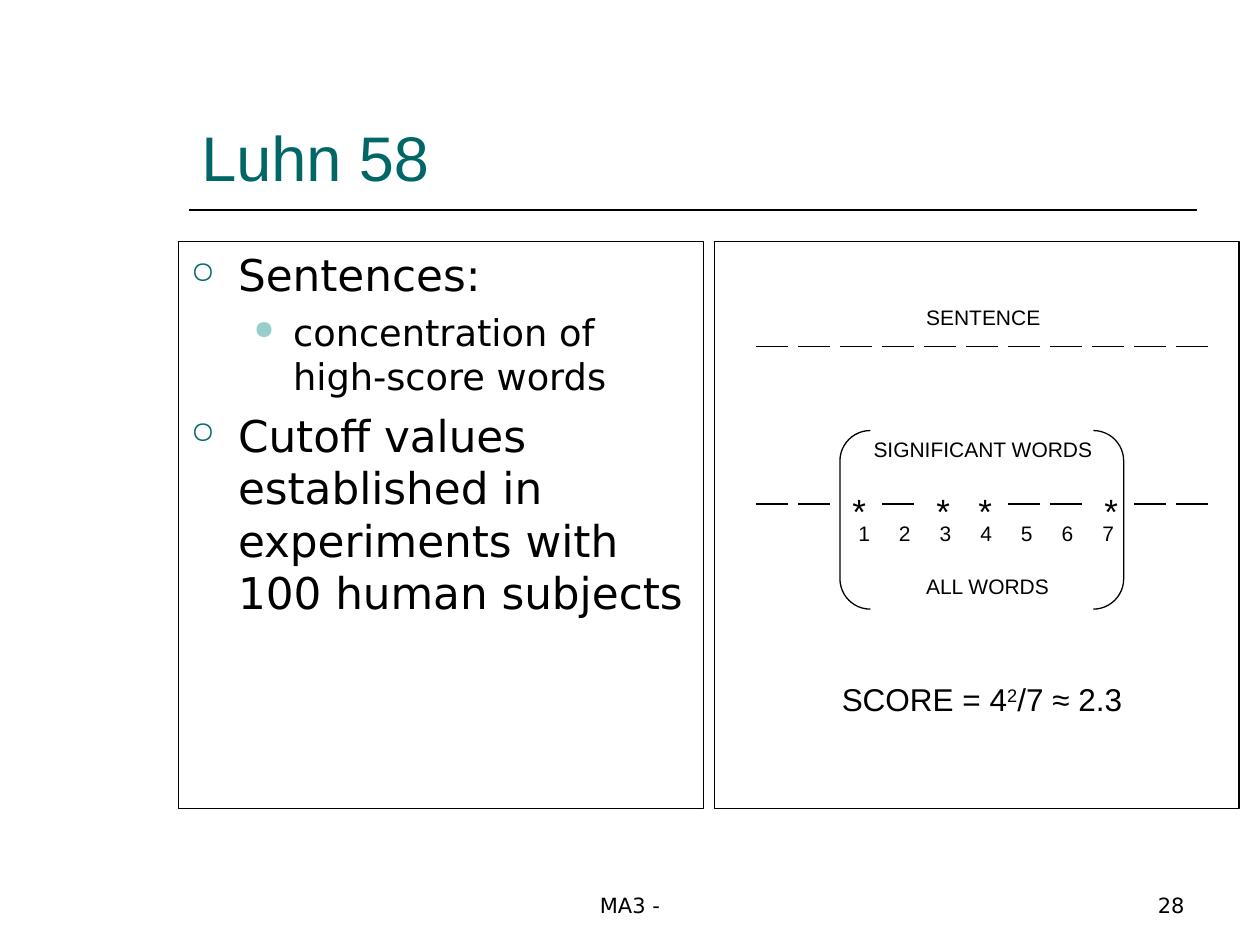
from lxml import etree
from pptx import Presentation
from pptx import util as u
from pptx.dml.color import RGBColor
from pptx.enum import shapes, text
from pptx.oxml.ns import qn

COLORS = {"ink": "000000", "teal": "006666", "pale": "99CCCC"}
WIDTH, HEIGHT = 25.4, 19.05
SANS, BODY = "Arial", "DejaVu Sans"

TITLE = "Luhn 58"
POINTS = [
    (0, "Sentences:"),
    (1, "concentration of high-score words"),
    (0, "Cutoff values established in experiments with 100 human subjects"),
]
LEVELS = [
    {"size": 25, "before": 6.2, "left": 0.95, "hang": 0.95, "mark": "○", "color": "teal"},
    {"size": 21, "before": 5.2, "left": 2.06, "hang": 0.79, "mark": "●", "color": "pale"},
]
LABELS = [
    ("SENTENCE", 18.42, 6.02, 2.97),
    ("SIGNIFICANT WORDS", 17.36, 8.68, 5.29),
    ("ALL WORDS", 18.42, 11.43, 3.18),
]
SCORE = [("SCORE = 4", 0), ("2", 30), ("/7 ≈ 2.3", 0)]
FOOTER = [
    ("MA3 -", 8.68, 8.04, text.PP_ALIGN.CENTER),
    ("28", 18.2, 5.93, text.PP_ALIGN.RIGHT),
]

SLOTS = 11
SIGNIFICANT = [2, 4, 5, 8]
SPAN = range(2, 9)
SLOT_LEFT, PITCH, DASH = 15.24, WIDTH / 30, 0.64
SENTENCE_Y, WORDS_Y = 6.99, 10.16
COUNT_PITCH = 0.82
PANEL_TOP, PANEL_WIDTH, PANEL_HEIGHT = 4.87, 10.58, 11.43
POINTS_LEFT, DIAGRAM_LEFT = 3.6, 14.4


def apply(target, values):
    for name, value in values.items():
        setattr(target, name, value)


def color(name):
    return RGBColor.from_string(COLORS[name])


def write(paragraph, words, size, face=SANS, ink="ink"):
    run = paragraph.add_run()
    run.text = words
    apply(run.font, {"size": u.Pt(size), "name": face})
    run.font.color.rgb = color(ink)
    return run


def text_box(slide, left, top, width, height, **frame_values):
    frame = slide.shapes.add_textbox(*map(u.Cm, (left, top, width, height))).text_frame
    apply(frame, {"word_wrap": True, **frame_values})
    return frame.paragraphs[0]


def rule(slide, left, right, y, weight=0.75):
    line = slide.shapes.add_connector(
        shapes.MSO_CONNECTOR.STRAIGHT, u.Cm(left), u.Cm(y), u.Cm(right), u.Cm(y))
    line.line.color.rgb = color("ink")
    line.line.width = u.Pt(weight)
    etree.SubElement(line._element.spPr, qn("a:effectLst"))


def outline(slide, kind, left, top, width, height):
    shape = slide.shapes.add_shape(kind, *map(u.Cm, (left, top, width, height)))
    shape.shadow.inherit = False
    shape.fill.background()
    shape.line.color.rgb = color("ink")
    shape.line.width = u.Pt(0.75)
    return shape


def bullet(paragraph, level):
    props = paragraph._p.get_or_add_pPr()
    props.set("marL", str(u.Cm(level["left"])))
    props.set("indent", str(-u.Cm(level["hang"])))
    tint = etree.SubElement(props, qn("a:buClr"))
    etree.SubElement(tint, qn("a:srgbClr"), val=COLORS[level["color"]])
    etree.SubElement(props, qn("a:buSzPct"), val="70000")
    etree.SubElement(props, qn("a:buChar"), char=level["mark"])


def add_points(slide):
    panel = outline(slide, shapes.MSO_SHAPE.RECTANGLE,
                    POINTS_LEFT, PANEL_TOP, PANEL_WIDTH, PANEL_HEIGHT)
    frame = panel.text_frame
    apply(frame, {"word_wrap": True, "vertical_anchor": text.MSO_ANCHOR.TOP})
    for index, (depth, words) in enumerate(POINTS):
        level = LEVELS[depth]
        point = frame.add_paragraph() if index else frame.paragraphs[0]
        bullet(point, level)
        apply(point, {"level": depth, "alignment": text.PP_ALIGN.LEFT})
        if index:
            point.space_before = u.Pt(level["before"])
        write(point, words, level["size"], BODY)


def add_word_slots(slide):
    for slot in range(SLOTS):
        left = SLOT_LEFT + slot * PITCH
        rule(slide, left, left + DASH, SENTENCE_Y)
        if slot in SIGNIFICANT:
            star = text_box(slide, left, 9.74, 0.79, 1.12, word_wrap=False)
            write(star, "*", 20)
        else:
            rule(slide, left, left + DASH, WORDS_Y)


def add_counts(slide):
    counts = text_box(slide, SLOT_LEFT + SPAN[0] * PITCH, 10.37, 5.93, 0.76,
                      margin_left=u.Cm(0.37))
    stops = etree.SubElement(counts._p.get_or_add_pPr(), qn("a:tabLst"))
    for step in range(1, len(SPAN)):
        etree.SubElement(stops, qn("a:tab"), pos=str(u.Cm(step * COUNT_PITCH)), algn="l")
    write(counts, "\t".join(str(n) for n in range(1, len(SPAN) + 1)), 12)


def add_diagram(slide):
    outline(slide, shapes.MSO_SHAPE.RECTANGLE,
            DIAGRAM_LEFT, PANEL_TOP, PANEL_WIDTH, PANEL_HEIGHT)
    add_word_slots(slide)
    bracket = outline(slide, shapes.MSO_SHAPE.DOUBLE_BRACKET,
                      SLOT_LEFT + SPAN[0] * PITCH, 8.68, 5.72, 3.6)
    bracket.adjustments[0] = 0.17
    for words, left, top, width in LABELS:
        write(text_box(slide, left, top, width, 0.76), words, 12)
    add_counts(slide)
    score = text_box(slide, 16.72, 13.59, 6.56, 1.02)
    for words, raised in SCORE:
        run = write(score, words, 18)
        if raised:
            run.font._element.set("baseline", str(raised * 1000))


def main():
    deck = Presentation()
    apply(deck, {"slide_width": u.Cm(WIDTH), "slide_height": u.Cm(HEIGHT)})
    slide = deck.slides.add_slide(deck.slide_layouts[6])
    bottom = text.MSO_ANCHOR.BOTTOM
    rule(slide, 3.81, 24.13, 4.23, 1)
    title = text_box(slide, 3.81, 0.85, 20.32, 3.18, vertical_anchor=bottom)
    write(title, TITLE, 36, SANS, "teal")
    add_points(slide)
    add_diagram(slide)
    for words, left, width, alignment in FOOTER:
        note = text_box(slide, left, 17.36, width, 1.27, vertical_anchor=bottom)
        note.alignment = alignment
        write(note, words, 12, BODY)
    deck.save("out.pptx")


if __name__ == "__main__":
    main()
